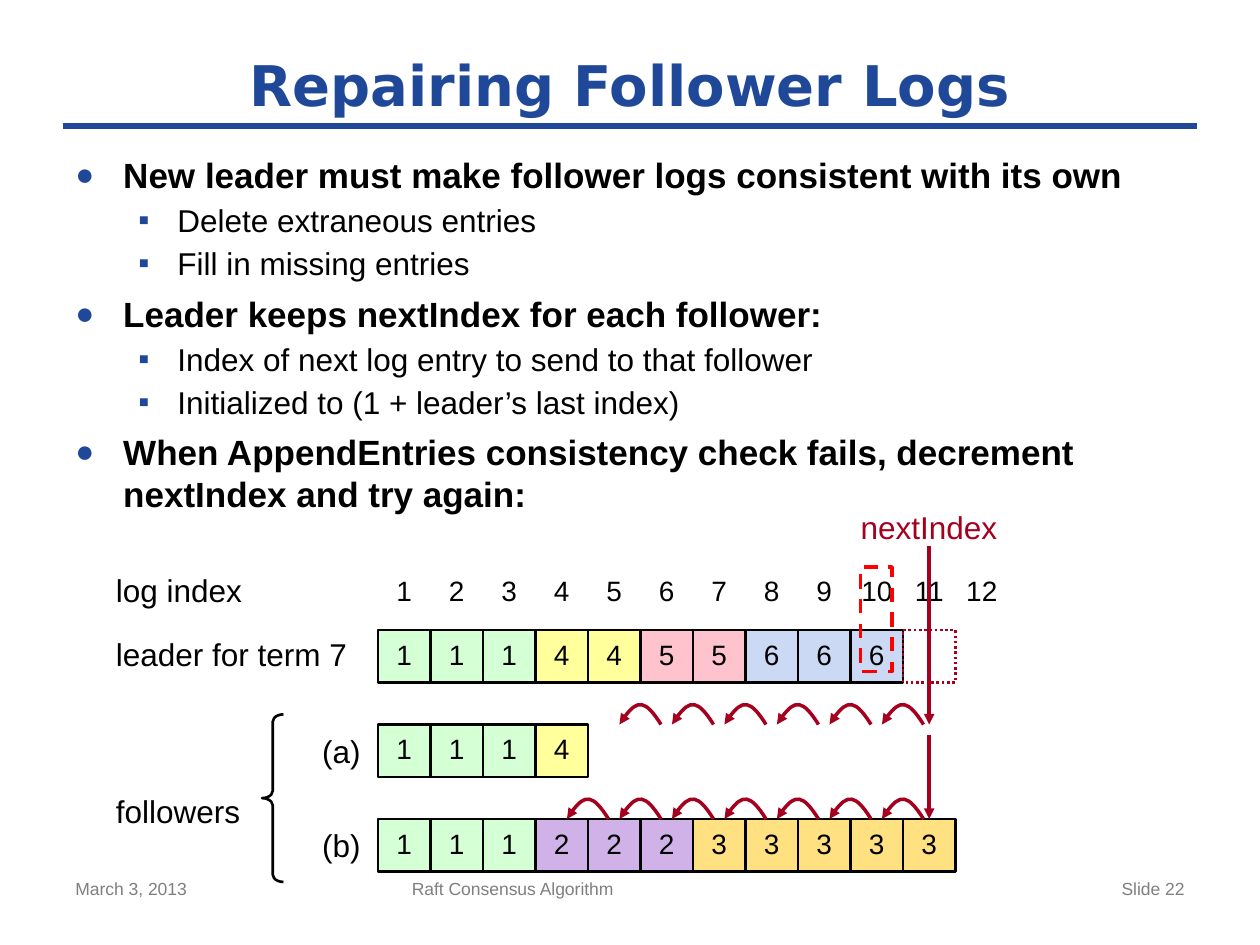
from dataclasses import dataclass

from lxml.etree import SubElement
from pptx import Presentation
from pptx.dml.color import RGBColor
from pptx.enum.dml import MSO_LINE_DASH_STYLE as Dash
from pptx.enum.shapes import MSO_CONNECTOR as Connector, MSO_SHAPE as Shape
from pptx.enum.text import MSO_ANCHOR as Anchor, MSO_AUTO_SIZE as AutoSize, PP_ALIGN as Align
from pptx.oxml.ns import qn
from pptx.util import Inches, Pt


@dataclass(frozen=True)
class Theme:
    font: str = "Arial"
    title_font: str = "DejaVu Sans"
    blue: str = "1F4899"
    black: str = "000000"
    gray: str = "7F7F7F"
    crimson: str = "A5001E"
    red: str = "FF0000"
    title_size: int = 32
    heading_size: int = 20
    label_size: int = 18
    cell_size: int = 16
    footer_size: int = 10
    thin: float = 1.5
    medium: float = 2
    thick: float = 4


theme = Theme()
term_fills = {1: "D5FFD5", 2: "D1B2E8", 3: "FFE181", 4: "FFFF9B", 5: "FFC3CE", 6: "CCD9F4"}


def write(shape, text, size, color=theme.black, font=theme.font, bold=False, inset=None,
          frame_format=None, **paragraph_format):
    frame = shape.text_frame
    settings = {"word_wrap": True, "vertical_anchor": Anchor.TOP, **(frame_format or {})}
    if inset is not None:
        settings |= {f"margin_{side}": Inches(inset) for side in ("left", "top", "right", "bottom")}
    for name, value in settings.items():
        setattr(frame, name, value)
    paragraph = frame.paragraphs[0] if not frame.text else frame.add_paragraph()
    for name, value in paragraph_format.items():
        setattr(paragraph, name, value)
    run = paragraph.add_run()
    run.text = text
    for name, value in {"name": font, "size": Pt(size), "bold": bold}.items():
        setattr(run.font, name, value)
    run.font.color.rgb = RGBColor.from_string(color)
    return paragraph


def outline(shape, color, width, dash=None, arrow=False):
    shape.line.color.rgb = RGBColor.from_string(color)
    shape.line.width = Pt(width)
    if dash:
        shape.line.dash_style = dash
    if arrow:
        SubElement(shape.line._get_or_add_ln(), qn("a:tailEnd"), type="triangle")
    if hasattr(shape, "shadow"):
        shape.shadow.inherit = False
    else:
        SubElement(shape._element.spPr, qn("a:effectLst"))


presentation = Presentation()
presentation.slide_width, presentation.slide_height = Inches(10), Inches(7.5)
slide = presentation.slides.add_slide(presentation.slide_layouts[6])
shapes = slide.shapes

# Title and rule
rule = shapes.add_connector(Connector.STRAIGHT, Inches(0.5), Inches(1), Inches(9.5), Inches(1))
outline(rule, theme.blue, theme.thick)
title = shapes.add_textbox(Inches(0.5), Inches(0.33), Inches(9), Inches(0.67))
write(title, "Repairing Follower Logs", theme.title_size, theme.blue, theme.title_font, True,
      frame_format={"vertical_anchor": Anchor.MIDDLE}, alignment=Align.CENTER)

# Footer
for left, width, text, align in (
    (0.5, 2.33, "March 3, 2013", Align.LEFT),
    (3.17, 3.75, "Raft Consensus Algorithm", Align.LEFT),
    (7.17, 2.33, "Slide 22", Align.RIGHT),
):
    footer = shapes.add_textbox(Inches(left), Inches(6.92), Inches(width), Inches(0.43))
    write(footer, text, theme.footer_size, theme.gray, alignment=align)

# Bulleted text: size, bold, text indent, hanging indent, space before, bullet, bullet percent
levels = (
    (theme.heading_size, True, 0.38, 0.38, 6, "●", 90),
    (theme.label_size, False, 0.81, 0.31, 3, "▪", 100),
)
body = shapes.add_textbox(Inches(0.5), Inches(1.17), Inches(9), Inches(3.33))
for level, text in (
    (0, "New leader must make follower logs consistent with its own"),
    (1, "Delete extraneous entries"),
    (1, "Fill in missing entries"),
    (0, "Leader keeps nextIndex for each follower:"),
    (1, "Index of next log entry to send to that follower"),
    (1, "Initialized to (1 + leader’s last index)"),
    (0, "When AppendEntries consistency check fails, decrement nextIndex and try again:"),
):
    size, bold, indent, hanging, before, bullet, percent = levels[level]
    if not body.text_frame.text:
        before = 12
    paragraph = write(body, text, size, bold=bold, level=level, space_before=Pt(before))
    properties = paragraph._p.get_or_add_pPr()
    properties.set("marL", str(Inches(indent)))
    properties.set("indent", str(-Inches(hanging)))
    SubElement(SubElement(properties, qn("a:buClr")), qn("a:srgbClr"), val=theme.blue)
    SubElement(properties, qn("a:buSzPct"), val=str(percent * 1000))
    SubElement(properties, qn("a:buFont"), typeface=theme.font)
    SubElement(properties, qn("a:buChar"), char=bullet)

# Log grid
grid_left, pitch = 3, 5 / 12
leader_top, follower_a_top, follower_b_top = 5, 5.75, 6.5
cells = {}
for top, terms in (
    (leader_top, (1, 1, 1, 4, 4, 5, 5, 6, 6, 6)),
    (follower_a_top, (1, 1, 1, 4)),
    (follower_b_top, (1, 1, 1, 2, 2, 2, 3, 3, 3, 3, 3)),
):
    for column, term in enumerate(terms):
        cell = shapes.add_shape(Shape.RECTANGLE, Inches(grid_left + column * pitch), Inches(top),
                                Inches(pitch), Inches(pitch))
        cell.fill.solid()
        cell.fill.fore_color.rgb = RGBColor.from_string(term_fills[term])
        outline(cell, theme.black, theme.thin)
        write(cell, str(term), theme.cell_size, inset=0, alignment=Align.CENTER,
              frame_format={"vertical_anchor": Anchor.MIDDLE}, line_spacing=Pt(17))
        cells[top, column] = cell

# Log index numbers
for column in range(12):
    width = pitch if column < 9 else 0.58
    left = grid_left + (column + 0.5) * pitch - width / 2
    number = shapes.add_textbox(Inches(left), Inches(4.5), Inches(width), Inches(0.37))
    write(number, str(column + 1), theme.cell_size, alignment=Align.CENTER)

# Labels
for left, top, width, height, text, color, format_values in (
    (0.92, 4.53, 1.25, 0.3, "log index", theme.black, {}),
    (0.92, 5.08, 2, 0.27, "leader for term 7", theme.black, {"line_spacing": Pt(19)}),
    (0.92, 6.32, 1, 0.27, "followers", theme.black, {"line_spacing": Pt(19)}),
    (2.5, 5.81, 0.42, 0.3, "(a)", theme.black, {"alignment": Align.CENTER}),
    (2.5, 6.56, 0.42, 0.3, "(b)", theme.black, {"alignment": Align.CENTER}),
    (6.83, 4.07, 1.09, 0.27, "nextIndex", theme.crimson, {"line_spacing": Pt(19)}),
):
    label = shapes.add_textbox(Inches(left), Inches(top), Inches(width), Inches(height))
    write(label, text, theme.label_size, color, inset=0,
          frame_format={"auto_size": AutoSize.SHAPE_TO_FIT_TEXT}, **format_values)

# Followers brace
brace = shapes.add_shape(Shape.LEFT_BRACE, Inches(2.08), Inches(5.67), Inches(0.17), Inches(1.33))
brace.adjustments[0] = 0.34
brace.fill.background()
outline(brace, theme.black, theme.thin)

# Curved arrows stepping nextIndex back
hop_width, hop_height = Inches(0.33), Inches(0.15)
for top, hops in ((follower_b_top, 7), (follower_a_top, 6)):
    for hop in range(hops):
        left, base = Inches(7 - hop * pitch), Inches(top)
        builder = shapes.build_freeform(left + hop_width, base)
        builder.add_line_segments([(left + hop_width // 2, base - hop_height), (left, base)],
                                  close=False)
        arc = builder.convert_to_shape()
        track = arc._element.find(".//" + qn("a:path"))
        for segment in track.findall(qn("a:lnTo")):
            track.remove(segment)
        curve = SubElement(track, qn("a:cubicBezTo"))
        for x, y in ((0.62, -1 / 3), (0.37, -1 / 3), (0, 1)):
            SubElement(curve, qn("a:pt"), x=str(int(x * hop_width)), y=str(int(y * hop_height)))
        arc.fill.background()
        outline(arc, theme.crimson, theme.medium, arrow=True)

# nextIndex arrows
next_x = Inches(grid_left + 10.5 * pitch)
for start, end in ((4.33, follower_a_top), (5.83, follower_b_top)):
    arrow = shapes.add_connector(Connector.STRAIGHT, next_x, Inches(start), next_x, Inches(end))
    outline(arrow, theme.crimson, theme.medium, arrow=True)
    if (end, 10) in cells:
        arrow.end_connect(cells[end, 10], 0)

# Empty next slot and highlighted last entry
for left, top, width, height, color, line_width, dash in (
    (grid_left + 10 * pitch, leader_top, pitch, pitch, theme.crimson, theme.thin, Dash.ROUND_DOT),
    (6.83, 4.5, 0.25, 0.83, theme.red, theme.medium, Dash.DASH),
):
    marker = shapes.add_shape(Shape.RECTANGLE, Inches(left), Inches(top), Inches(width), Inches(height))
    marker.fill.background()
    outline(marker, color, line_width, dash)

presentation.save("out.pptx")
